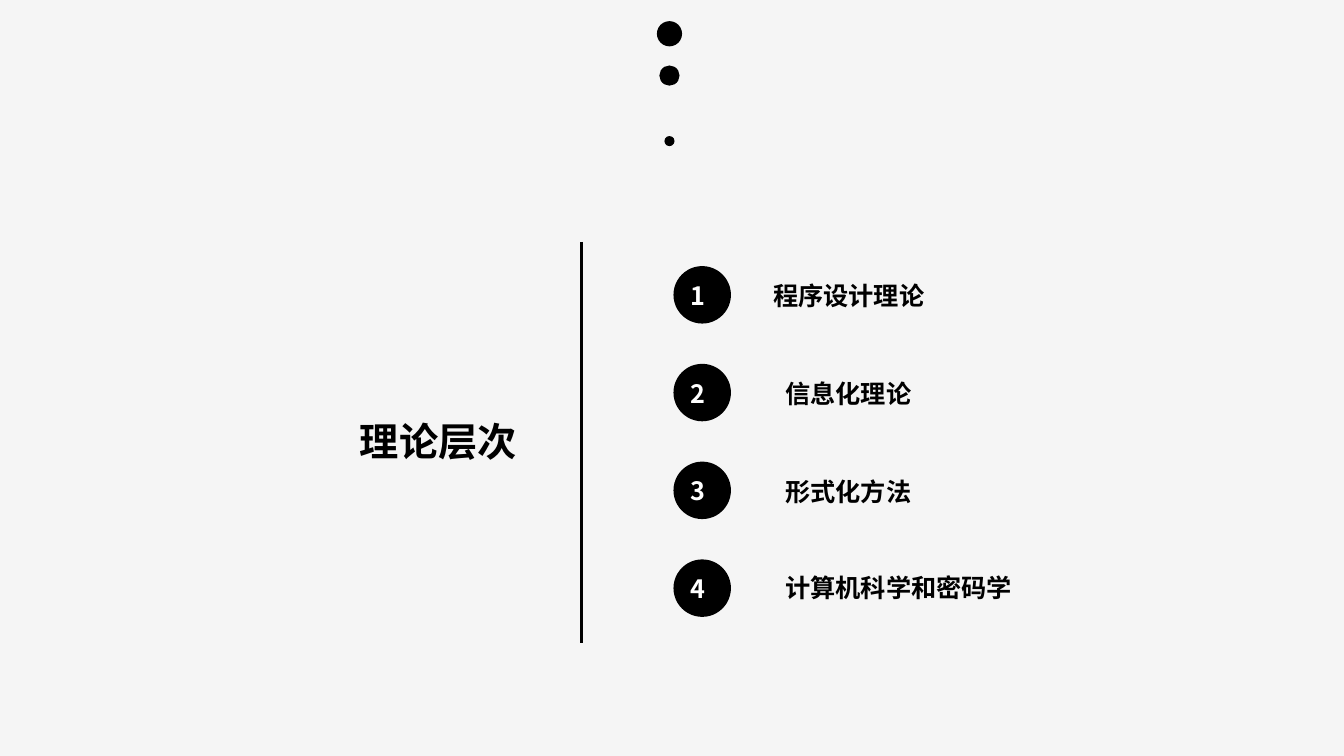
import pptx
import pptx.dml.color
import pptx.enum.shapes
import pptx.enum.text
import pptx.oxml.ns
import pptx.util
from lxml import etree
from pptx.util import Inches

CJK_FONT = "Noto Sans CJK SC"
LATIN_FONT = "Calibri"
INK = "000000"
PAPER = "F5F5F5"
WHITE = "FFFFFF"
THEORIES = [
    ("程序设计理论", 7.57, 1.7, 2.73),
    ("信息化理论", 7.69, 1.45, 3.7),
    ("形式化方法", 7.69, 1.58, 4.68),
    ("计算机科学和密码学", 7.69, 2.53, 5.63),
]


def paint(color_format, hex_color):
    """Apply a hex colour to a colour format."""
    color_format.rgb = pptx.dml.color.RGBColor.from_string(hex_color)


def write(holder, text, size=18, font=CJK_FONT, color=INK, align=None, wrap=True):
    """Fill a text holder with one formatted bold line."""
    frame = holder.text_frame
    frame.word_wrap = wrap
    frame.auto_size = pptx.enum.text.MSO_AUTO_SIZE.NONE
    frame.vertical_anchor = pptx.enum.text.MSO_ANCHOR.MIDDLE
    paragraph = frame.paragraphs[0]
    paragraph.alignment = align or pptx.enum.text.PP_ALIGN.LEFT
    run = paragraph.add_run()
    run.text = text
    run.font.size = pptx.util.Pt(size)
    run.font.bold = True
    run.font.name = font
    paint(run.font.color, color)
    east_asian = etree.Element(pptx.oxml.ns.qn("a:ea"), typeface=CJK_FONT)
    run.font._element.find(pptx.oxml.ns.qn("a:latin")).addnext(east_asian)


def add_textbox(slide, box, text, **text_format):
    """Add a text box in the given box of inches."""
    holder = slide.shapes.add_textbox(*map(Inches, box))
    write(holder, text, **text_format)


def add_dot(slide, left, top, diameter):
    """Add a solid black circle."""
    dot = slide.shapes.add_shape(
        pptx.enum.shapes.MSO_SHAPE.OVAL,
        Inches(left), Inches(top), Inches(diameter), Inches(diameter))
    dot.shadow.inherit = False
    dot.fill.solid()
    paint(dot.fill.fore_color, INK)
    dot.line.fill.background()


def add_falling_dots(slide, center, top):
    """Add the shrinking dots centred on a vertical axis."""
    for offset, diameter in ((0, 0.25), (0.44, 0.2), (1.14, 0.1)):
        add_dot(slide, center - diameter / 2, top + offset, diameter)


def add_heading(slide, left, top, width, height):
    """Place the heading and the vertical rule to its right."""
    heading = slide.shapes.title
    heading.left, heading.top = Inches(left), Inches(top)
    heading.width, heading.height = Inches(width), Inches(height)
    write(heading, "理论层次", size=28, align=pptx.enum.text.PP_ALIGN.JUSTIFY)
    rule_x = Inches(left + width + 0.26)
    rule = slide.shapes.add_connector(
        pptx.enum.shapes.MSO_CONNECTOR.STRAIGHT,
        rule_x, Inches(top - 1.69), rule_x, Inches(top + 2.29))
    rule.line.width = pptx.util.Pt(2.5)
    paint(rule.line.color, INK)
    etree.SubElement(rule._element.spPr, pptx.oxml.ns.qn("a:effectLst"))


def add_theory_list(slide, left, top, pitch):
    """Add the numbered theories at an even vertical pitch."""
    for index, (theory, theory_left, width, theory_top) in enumerate(THEORIES):
        row_top = top + index * pitch
        add_dot(slide, left, row_top, 0.57)
        add_textbox(slide, (left + 0.07, row_top + 0.09, 0.27, 0.4),
                    str(index + 1), color=WHITE)
        add_textbox(slide, (theory_left, theory_top, width, 0.4),
                    theory, font=LATIN_FONT, wrap=index > 0)


def main():
    """Build and save the slide."""
    deck = pptx.Presentation()
    deck.slide_width, deck.slide_height = Inches(13.33), Inches(7.5)
    slide = deck.slides.add_slide(deck.slide_layouts.get_by_name("Title Only"))
    slide.background.fill.solid()
    paint(slide.background.fill.fore_color, PAPER)
    add_falling_dots(slide, center=6.64, top=0.21)
    add_heading(slide, 3.47, 4.09, 2.04, 0.57)
    add_theory_list(slide, left=6.68, top=2.64, pitch=0.97)
    deck.save("out.pptx")


if __name__ == "__main__":
    main()
